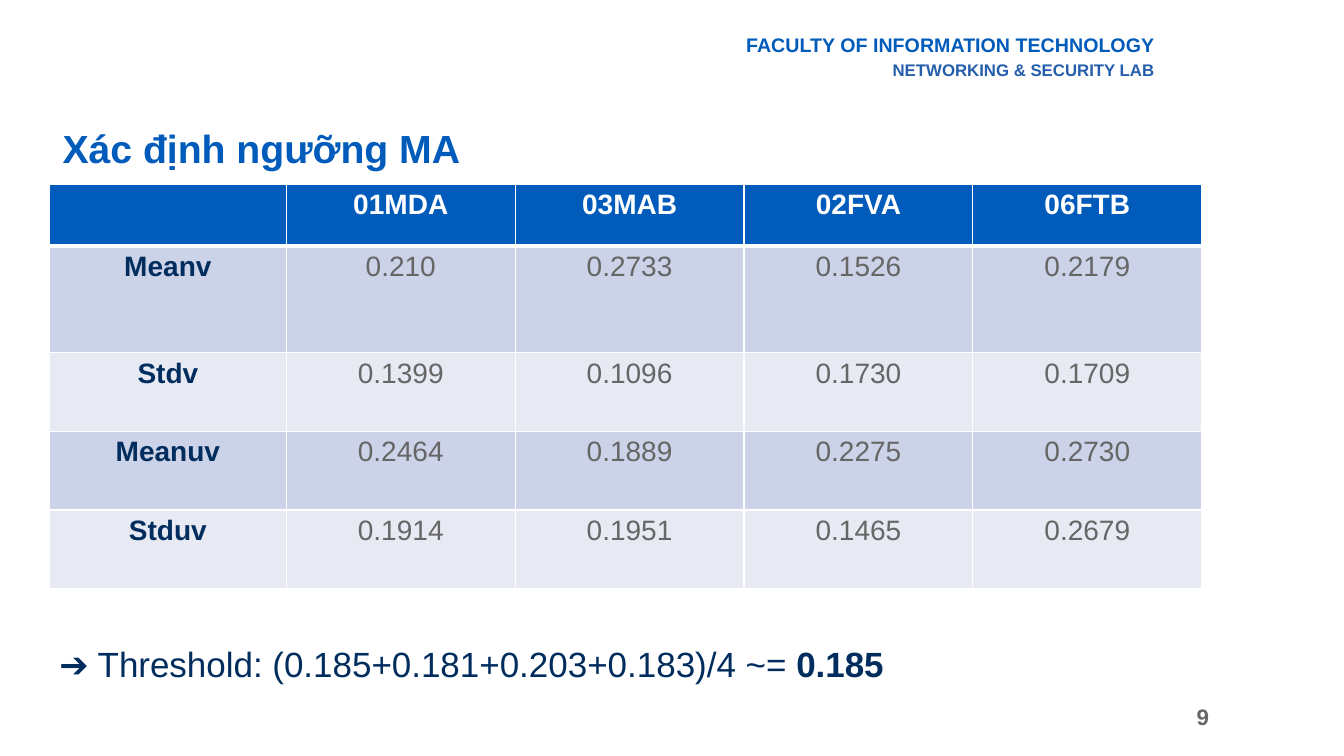
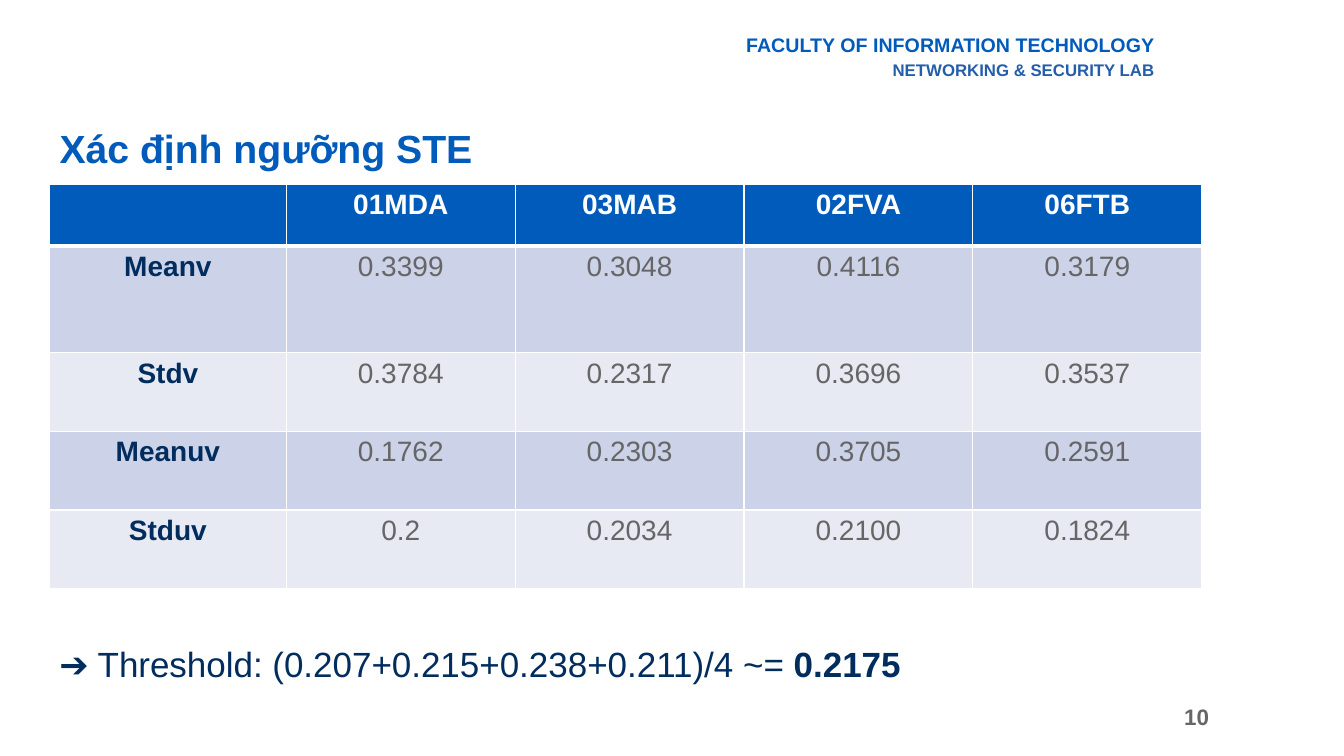
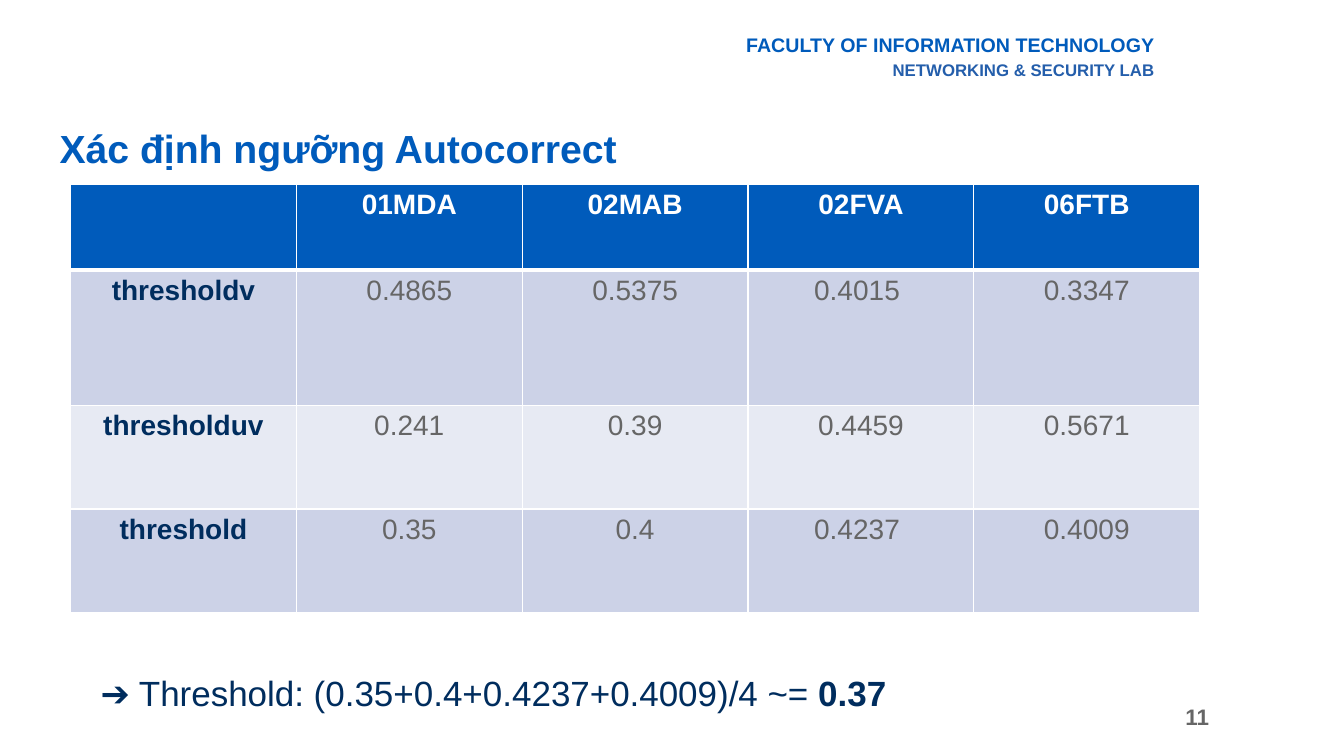
from dataclasses import dataclass

from lxml import etree
from pptx import Presentation
from pptx.dml.color import RGBColor
from pptx.enum.text import MSO_ANCHOR, MSO_AUTO_SIZE, PP_ALIGN
from pptx.oxml.ns import qn
from pptx.util import Emu, Pt

LEFT, CENTER, RIGHT = PP_ALIGN.LEFT, PP_ALIGN.CENTER, PP_ALIGN.RIGHT
TOP, MIDDLE = MSO_ANCHOR.TOP, MSO_ANCHOR.MIDDLE
FIXED, GROW = MSO_AUTO_SIZE.NONE, MSO_AUTO_SIZE.SHAPE_TO_FIT_TEXT
TITLE_ONLY = 5
SCALE = 9144  # 100 px to the inch


@dataclass(frozen=True)
class Theme:
    font: str = "Arial"
    blue: str = "005BBB"
    mid: str = "245EAB"
    navy: str = "002D5E"
    gray: str = "666666"
    white: str = "FFFFFF"
    bands: tuple[str, str] = ("CCD2E7", "E7EAF3")
    title: int = 28
    result: int = 25
    cell: int = 20
    page: int = 16
    head: int = 14
    sub: int = 12
    line: int = 1
    rule: int = 3


@dataclass(frozen=True)
class Grid:
    left: int
    cols: list[int]
    rows: list[int]
    cells: list[list[str]]


@dataclass(frozen=True)
class Page:
    number: int
    title: str
    grid: Grid
    sums: str
    total: str
    title_x: int = 49
    result_x: int = 49
    result_y: int = 632


THEME = Theme()
WIDE = [235] + [227] * 4
EVEN = [224] * 5
TALL = [61, 106, 78, 78, 78]
HEADS = ["", "01MDA", "03MAB", "02FVA", "06FTB"]

PAGES = [
    Page(9, "Xác định ngưỡng MA", Grid(49, WIDE, TALL, [
        HEADS,
        ["Meanv", "0.210", "0.2733", "0.1526", "0.2179"],
        ["Stdv", "0.1399", "0.1096", "0.1730", "0.1709"],
        ["Meanuv", "0.2464", "0.1889", "0.2275", "0.2730"],
        ["Stduv", "0.1914", "0.1951", "0.1465", "0.2679"],
    ]), "0.185+0.181+0.203+0.183", "0.185", title_x=52),
    Page(10, "Xác định ngưỡng STE", Grid(49, WIDE, TALL, [
        HEADS,
        ["Meanv", "0.3399", "0.3048", "0.4116", "0.3179"],
        ["Stdv", "0.3784", "0.2317", "0.3696", "0.3537"],
        ["Meanuv", "0.1762", "0.2303", "0.3705", "0.2591"],
        ["Stduv", "0.2", "0.2034", "0.2100", "0.1824"],
    ]), "0.207+0.215+0.238+0.211", "0.2175"),
    Page(11, "Xác định ngưỡng Autocorrect", Grid(70, EVEN, [85, 134, 103, 103], [
        ["", "01MDA", "02MAB", "02FVA", "06FTB"],
        ["thresholdv", "0.4865", "0.5375", "0.4015 ", "0.3347"],
        ["thresholduv", "0.241", "0.39", "0.4459", "0.5671"],
        ["threshold", "0.35", "0.4", "0.4237 ", "0.4009"],
    ]), "0.35+0.4+0.4237+0.4009", "0.37", result_x=90, result_y=661),
]


def px(count: int) -> Emu:
    return Emu(count * SCALE)


def write(para, text: str, *, size: int, color: str, bold: bool = False,
          align=LEFT, before: int = 0) -> None:
    """Add one run to a paragraph."""
    para.alignment = align
    if before:
        para.space_before = Pt(before)
    run = para.add_run()
    run.text = text
    font = run.font
    font.name, font.size, font.bold = THEME.font, Pt(size), bold
    font.color.rgb = RGBColor.from_string(color)


def place(shape, left: int, top: int, width: int, height: int) -> None:
    shape.left, shape.top = px(left), px(top)
    shape.width, shape.height = px(width), px(height)


def add_box(slide, left: int, top: int, width: int, height: int, *,
            anchor=TOP, fit=FIXED):
    box = slide.shapes.add_textbox(px(left), px(top), px(width), px(height))
    frame = box.text_frame
    frame.word_wrap, frame.vertical_anchor, frame.auto_size = True, anchor, fit
    return frame


def add_frame(slide, number: int) -> None:
    """Draw the page number and the header that all slides share."""
    foot = add_box(slide, 759, 691, 450, 40, anchor=MIDDLE)
    write(foot.paragraphs[0], str(number), size=THEME.page, color=THEME.gray,
          bold=True, align=RIGHT)
    head = add_box(slide, 703, 28, 452, 57, fit=GROW)
    write(head.paragraphs[0], "FACULTY OF INFORMATION TECHNOLOGY",
          size=THEME.head, color=THEME.blue, bold=True, align=RIGHT)
    write(head.add_paragraph(), "NETWORKING & SECURITY LAB",
          size=THEME.sub, color=THEME.mid, bold=True, align=RIGHT, before=2)


def add_title(slide, text: str, left: int) -> None:
    title = slide.shapes.title
    place(title, left, 118, 760, 65)
    frame = title.text_frame
    frame.word_wrap, frame.vertical_anchor, frame.auto_size = True, TOP, FIXED
    write(frame.paragraphs[0], text, size=THEME.title, color=THEME.blue, bold=True)


def add_edges(cell, row: int) -> None:
    """Give a cell white borders, thick below the header row."""
    props = cell._tc.get_or_add_tcPr()
    thick = {0: "lnB", 1: "lnT"}.get(row)
    for side in ("lnL", "lnR", "lnT", "lnB"):
        width = THEME.rule if side == thick else THEME.line
        edge = etree.SubElement(props, qn(f"a:{side}"), w=str(Pt(width)))
        fill = etree.SubElement(edge, qn("a:solidFill"))
        etree.SubElement(fill, qn("a:srgbClr"), val=THEME.white)


def add_grid(slide, grid: Grid) -> None:
    shape = slide.shapes.add_table(
        len(grid.rows), len(grid.cols), px(grid.left), px(183),
        px(sum(grid.cols)), px(sum(grid.rows)))
    table = shape.table
    table.horz_banding = False
    for col, width in zip(table.columns, grid.cols):
        col.width = px(width)
    for row, height in zip(table.rows, grid.rows):
        row.height = px(height)
    for i, texts in enumerate(grid.cells):
        back = THEME.bands[(i - 1) % 2] if i else THEME.blue
        for j, text in enumerate(texts):
            cell = table.cell(i, j)
            add_edges(cell, i)
            cell.fill.solid()
            cell.fill.fore_color.rgb = RGBColor.from_string(back)
            if text:
                color = THEME.gray if j else THEME.navy
                write(cell.text_frame.paragraphs[0], text, size=THEME.cell,
                      color=color if i else THEME.white,
                      bold=i == 0 or j == 0, align=CENTER)


def add_result(slide, page: Page) -> None:
    frame = add_box(slide, page.result_x, page.result_y, 909, 52, fit=GROW)
    para = frame.paragraphs[0]
    write(para, f"➔ Threshold: ({page.sums})/4 ~= ",
          size=THEME.result, color=THEME.navy)
    write(para, page.total, size=THEME.result, color=THEME.navy, bold=True)


def main() -> None:
    deck = Presentation()
    deck.slide_width, deck.slide_height = px(1333), px(750)
    for page in PAGES:
        slide = deck.slides.add_slide(deck.slide_layouts[TITLE_ONLY])
        add_frame(slide, page.number)
        add_title(slide, page.title, page.title_x)
        add_grid(slide, page.grid)
        add_result(slide, page)
    deck.save("out.pptx")


if __name__ == "__main__":
    main()
